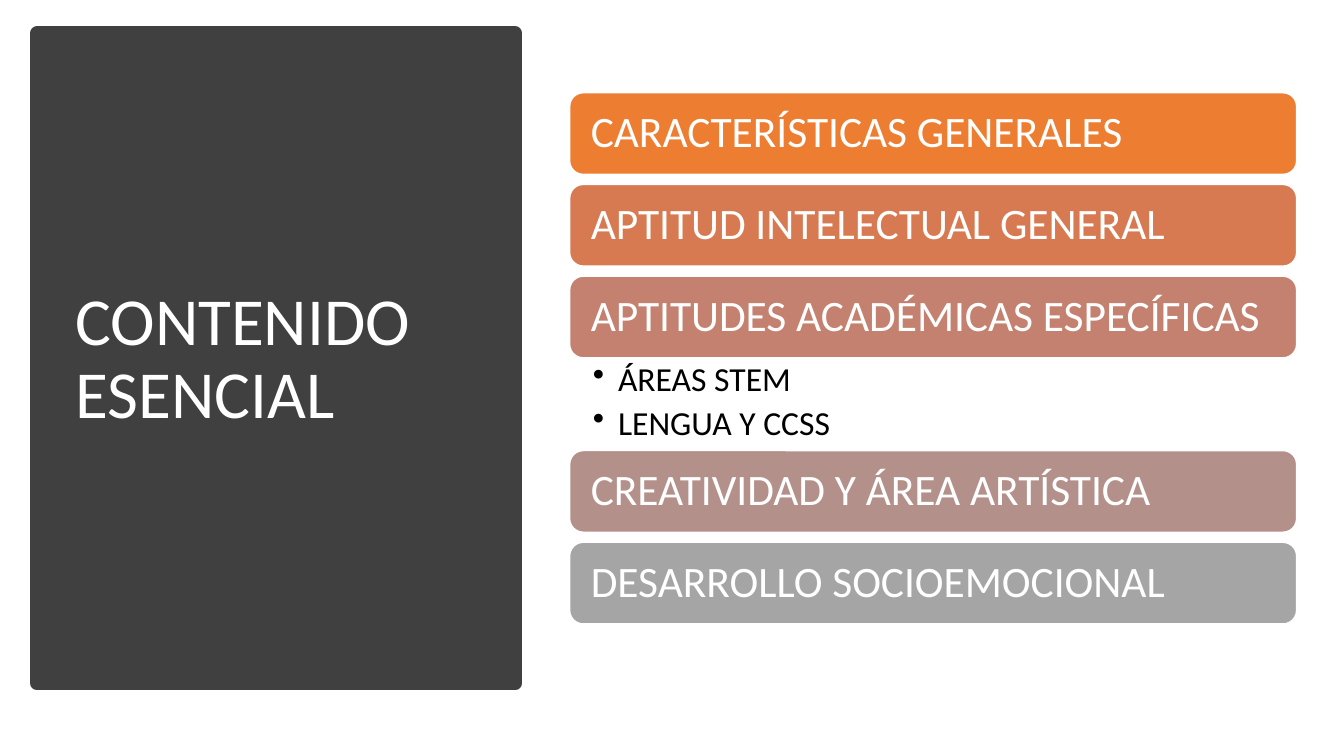
import pptx
import pptx.util
import pptx.dml.color
import pptx.enum.shapes
import pptx.enum.text
import pptx.oxml.ns
import lxml.etree

RGB = pptx.dml.color.RGBColor
KIND = pptx.enum.shapes.MSO_SHAPE
ANCHOR = pptx.enum.text.MSO_ANCHOR
ALIGN = pptx.enum.text.PP_ALIGN

WHITE = RGB(0xFF, 0xFF, 0xFF)
BLACK = RGB(0x00, 0x00, 0x00)
DARK = RGB(0x40, 0x40, 0x40)
ORANGE = RGB(0xED, 0x7D, 0x31)
COPPER = RGB(0xD8, 0x7A, 0x51)
ROSE = RGB(0xC4, 0x81, 0x70)
MAUVE = RGB(0xB4, 0x90, 0x8B)
GREY = RGB(0xA5, 0xA5, 0xA5)

LEFT, WIDTH, HEIGHT, PITCH = 565, 721, 81, 91
TOPICS = [
    ("CARACTERÍSTICAS GENERALES", ORANGE, []),
    ("APTITUD INTELECTUAL GENERAL", COPPER, []),
    ("APTITUDES ACADÉMICAS ESPECÍFICAS", ROSE, ["ÁREAS STEM", "LENGUA Y CCSS"]),
    ("CREATIVIDAD Y ÁREA ARTÍSTICA", MAUVE, []),
    ("DESARROLLO SOCIOEMOCIONAL", GREY, []),
]


def px(count):
    return pptx.util.Emu(count * 9144)


def apply(target, values):
    for name, value in values.items():
        setattr(target, name, value)


class Deck:
    """Holds the style and the current slide, and draws its elements."""

    def __init__(self, font):
        self.font = font
        self.show = pptx.Presentation()
        apply(self.show, {"slide_width": px(1333), "slide_height": px(750)})
        self.slide = self.show.slides.add_slide(self.show.slide_layouts[6])

    def panel(self, kind, box, fill, line, weight):
        shape = self.slide.shapes.add_shape(kind, *map(px, box))
        shape.shadow.inherit = False
        shape.fill.solid()
        shape.fill.fore_color.rgb = fill
        shape.line.color.rgb = line
        shape.line.width = pptx.util.Pt(weight)
        return shape

    def label(self, shape, lines, size, color, anchor, pads, after=0):
        frame = shape.text_frame
        sides = ("margin_left", "margin_top", "margin_right", "margin_bottom")
        apply(frame, {"word_wrap": True, "vertical_anchor": anchor})
        apply(frame, dict(zip(sides, map(px, pads))))
        frame.text = "\n".join(lines)
        for para in frame.paragraphs:
            apply(para, {"alignment": ALIGN.LEFT, "line_spacing": 0.9,
                         "space_after": pptx.util.Pt(after)})
            apply(para.font, {"name": self.font, "size": pptx.util.Pt(size)})
            para.font.color.rgb = color
        return frame

    def title(self, text, box):
        shape = self.slide.shapes.add_textbox(*map(px, box))
        self.label(shape, [text], 48, WHITE, ANCHOR.MIDDLE, (10, 5, 10, 5))

    def bar(self, text, box, fill):
        shape = self.panel(KIND.ROUNDED_RECTANGLE, box, fill, WHITE, 1)
        self.label(shape, [text], 31, WHITE, ANCHOR.MIDDLE, (17, 13, 17, 13))

    def bullets(self, lines, box):
        shape = self.slide.shapes.add_textbox(*map(px, box))
        frame = self.label(shape, lines, 24, BLACK, ANCHOR.TOP, (23, 4, 24, 4), 5)
        for para in frame.paragraphs:
            props = para._p.get_or_add_pPr()
            props.set("marL", str(px(25)))
            props.set("indent", str(px(-25)))
            mark = lxml.etree.Element(pptx.oxml.ns.qn("a:buChar"), char="•")
            props.find(pptx.oxml.ns.qn("a:defRPr")).addprevious(mark)


def main():
    deck = Deck("Calibri")
    deck.panel(KIND.RECTANGLE, (37, 33, 474, 645), DARK, DARK, 10)
    deck.title("CONTENIDO ESENCIAL", (65, 70, 416, 575))
    top = 92
    for text, fill, points in TOPICS:
        deck.bar(text, (LEFT, top, WIDTH, HEIGHT), fill)
        if points:
            top += HEIGHT + 1
            deck.bullets(points, (LEFT, top, WIDTH, PITCH))
        top += PITCH
    deck.show.save("out.pptx")


if __name__ == "__main__":
    main()
